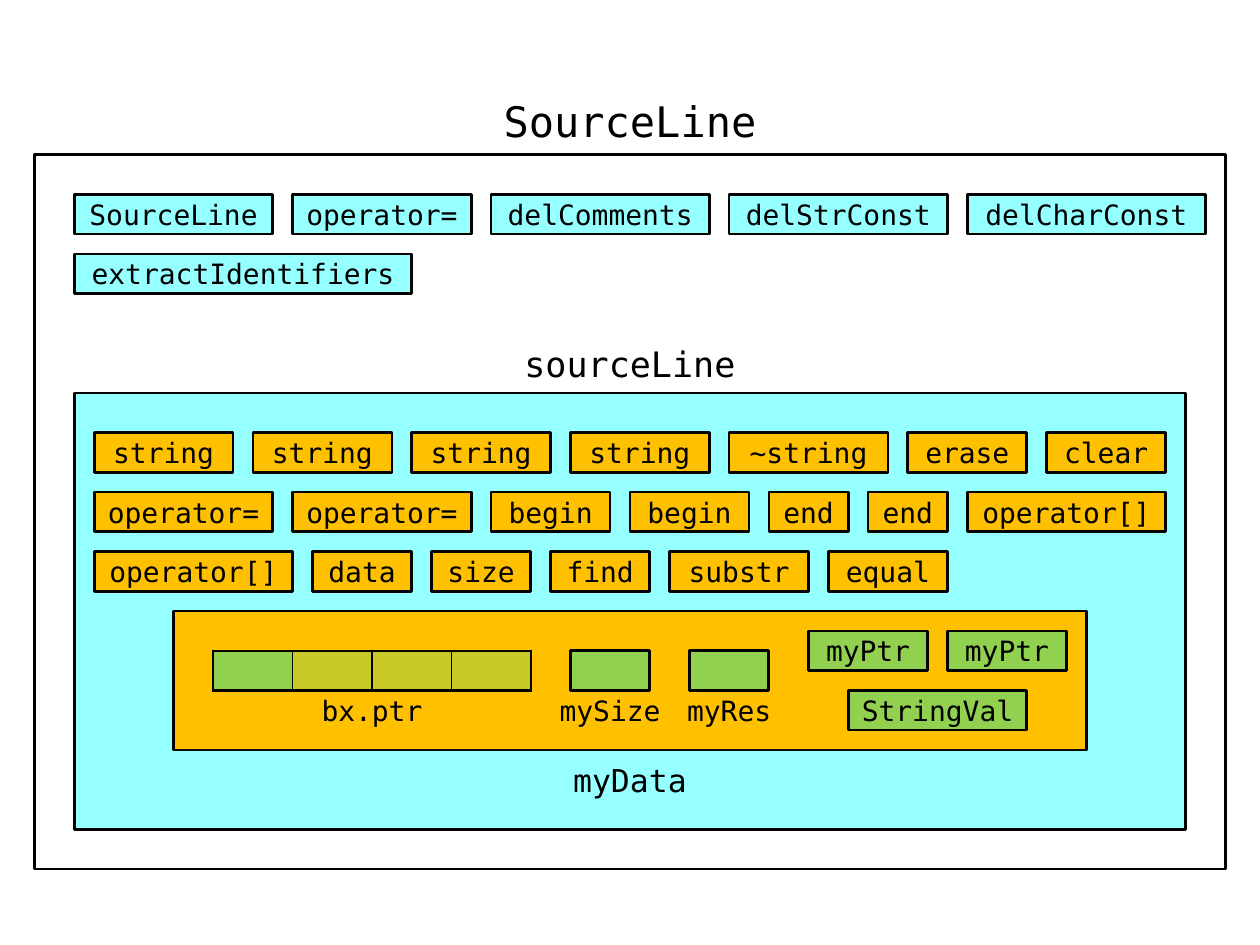
from lxml.etree import SubElement
from pptx import Presentation
from pptx.dml.color import RGBColor
from pptx.enum.shapes import MSO_SHAPE
from pptx.enum.text import MSO_ANCHOR, PP_ALIGN
from pptx.oxml import parse_xml
from pptx.oxml.ns import nsdecls, qn
from pptx.util import Inches, Pt

PX = 7200  # EMU in one px; the layout grid is 20 px
GAP, CHIP_HEIGHT, ROW_STEP, TITLE_HEIGHT = 20, 40, 60, 60
FIELD_WIDTH, LABEL_WIDTH = 80, 120
FONT = "DejaVu Sans Mono"
BLACK = RGBColor(0x00, 0x00, 0x00)
WHITE = RGBColor(0xFF, 0xFF, 0xFF)
CYAN = RGBColor(0x96, 0xFF, 0xFF)
ORANGE = RGBColor(0xFF, 0xC0, 0x00)
GREEN = RGBColor(0x92, 0xD0, 0x50)

CLASS_METHODS = [
    [("SourceLine", 200), ("operator=", 180), ("delComments", 220),
     ("delStrConst", 220), ("delCharConst", 240)],
    [("extractIdentifiers", 340)],
]
STRING_METHODS = [
    [("string", 140)] * 4 + [("~string", 160), ("erase", 120), ("clear", 120)],
    [("operator=", 180)] * 2 + [("begin", 120)] * 2 + [("end", 80)] * 2
    + [("operator[]", 200)],
    [("operator[]", 200), ("data", 100), ("size", 100), ("find", 100),
     ("substr", 140), ("equal", 120)],
]


def lengths(*values):
    return [value * PX for value in values]


def write(shape, text, size=16, anchor=MSO_ANCHOR.MIDDLE):
    frame = shape.text_frame
    frame.word_wrap = True
    frame.vertical_anchor = anchor
    frame.margin_left = frame.margin_right = 5 * PX
    frame.margin_top = frame.margin_bottom = 0
    para = frame.paragraphs[0]
    para.alignment = PP_ALIGN.CENTER
    span = para.add_run()
    span.text = text
    span.font.name = FONT
    span.font.size = Pt(size)
    span.font.color.rgb = BLACK


def add_block(page, box, fill=None, text=None, kind=MSO_SHAPE.FLOWCHART_PROCESS):
    """Outlined block, or a bare label when no fill is given."""
    shape = page.shapes.add_shape(kind, *lengths(*box))
    shape.shadow.inherit = False
    if fill is None:
        shape.fill.background()
        shape.line.fill.background()
    else:
        shape.fill.solid()
        shape.fill.fore_color.rgb = fill
        shape.line.color.rgb = BLACK
        shape.line.width = Pt(1.5)
    if text:
        write(shape, text)


def add_title(page, center, top, width, text, size, anchor=MSO_ANCHOR.MIDDLE):
    box = lengths(center - width // 2, top, width, TITLE_HEIGHT)
    write(page.shapes.add_textbox(*box), text, size, anchor)


def add_chips(page, left, top, rows, fill):
    """Rows of method blocks, laid out left to right with equal gaps."""
    for index, row in enumerate(rows):
        x = left
        for text, width in row:
            add_block(page, (x, top + index * ROW_STEP, width, CHIP_HEIGHT), fill, text)
            x += width + GAP


def add_border(properties, position, side, points):
    properties.insert(position, parse_xml(
        f'<a:{side} {nsdecls("a")} w="{Pt(points)}"><a:solidFill>'
        f'<a:srgbClr val="{BLACK}"/></a:solidFill></a:{side}>'))


def add_buffer(page, left, top, count):
    """One-row table: a solid first cell, then half-transparent ones."""
    box = lengths(left, top, count * FIELD_WIDTH, CHIP_HEIGHT)
    table = page.shapes.add_table(1, count, *box).table
    table.first_row = table.horz_banding = False
    for index in range(count):
        table.columns[index].width = FIELD_WIDTH * PX
        cell = table.cell(0, index)
        cell.margin_left = cell.margin_right = 0
        cell.margin_top = cell.margin_bottom = 0
        cell.fill.solid()
        cell.fill.fore_color.rgb = GREEN
        properties = cell._tc.get_or_add_tcPr()
        if index:
            color = properties.find(".//" + qn("a:srgbClr"))
            SubElement(color, qn("a:alpha"), val="50000")
        borders = {
            "lnL": 1 if index else 1.5,
            "lnR": 1 if index < count - 1 else 1.5,
            "lnT": 1.5,
            "lnB": 1.5,
        }
        for position, (side, points) in enumerate(borders.items()):
            add_border(properties, position, side, points)


def add_my_data(page, left, top, width, height):
    add_block(page, (left, top, width, height), ORANGE)
    add_title(page, left + width // 2, top + height, 160, "myData", 18)

    # Functions
    add_chips(page, left + 640, top + 20, [[("myPtr", 120)] * 2], GREEN)
    add_chips(page, left + 680, top + 80, [[("StringVal", 180)]], GREEN)

    # Fields
    field_top = top + 40
    add_buffer(page, left + 40, field_top, 4)
    for x in (400, 520):
        add_block(page, (left + x, field_top, FIELD_WIDTH, CHIP_HEIGHT), GREEN,
                  kind=MSO_SHAPE.RECTANGLE)
    for text, center in (("bx.ptr", 200), ("mySize", 440), ("myRes", 560)):
        add_block(page, (left + center - LABEL_WIDTH // 2, field_top + CHIP_HEIGHT,
                         LABEL_WIDTH, CHIP_HEIGHT), text=text)


def add_string_member(page, left, top, width, height):
    add_title(page, left + width // 2, top - TITLE_HEIGHT, 240, "sourceLine", 20)
    add_block(page, (left, top, width, height), CYAN)
    add_chips(page, left + 20, top + 40, STRING_METHODS, ORANGE)
    add_my_data(page, left + 100, top + 220, width - 200, 140)


def add_source_line_class(page, left, top, width, height):
    add_title(page, left + width // 2, top - TITLE_HEIGHT, 320, "SourceLine", 24,
              MSO_ANCHOR.TOP)
    add_block(page, (left, top, width, height), WHITE)
    add_chips(page, left + 40, top + 40, CLASS_METHODS, CYAN)
    add_string_member(page, left + 40, top + 240, width - 80, 440)


def main():
    deck = Presentation()
    deck.slide_width, deck.slide_height = Inches(10), Inches(7.5)
    page = deck.slides.add_slide(deck.slide_layouts[6])
    add_source_line_class(page, 35, 156, 1200, 720)
    deck.save("out.pptx")


if __name__ == "__main__":
    main()
